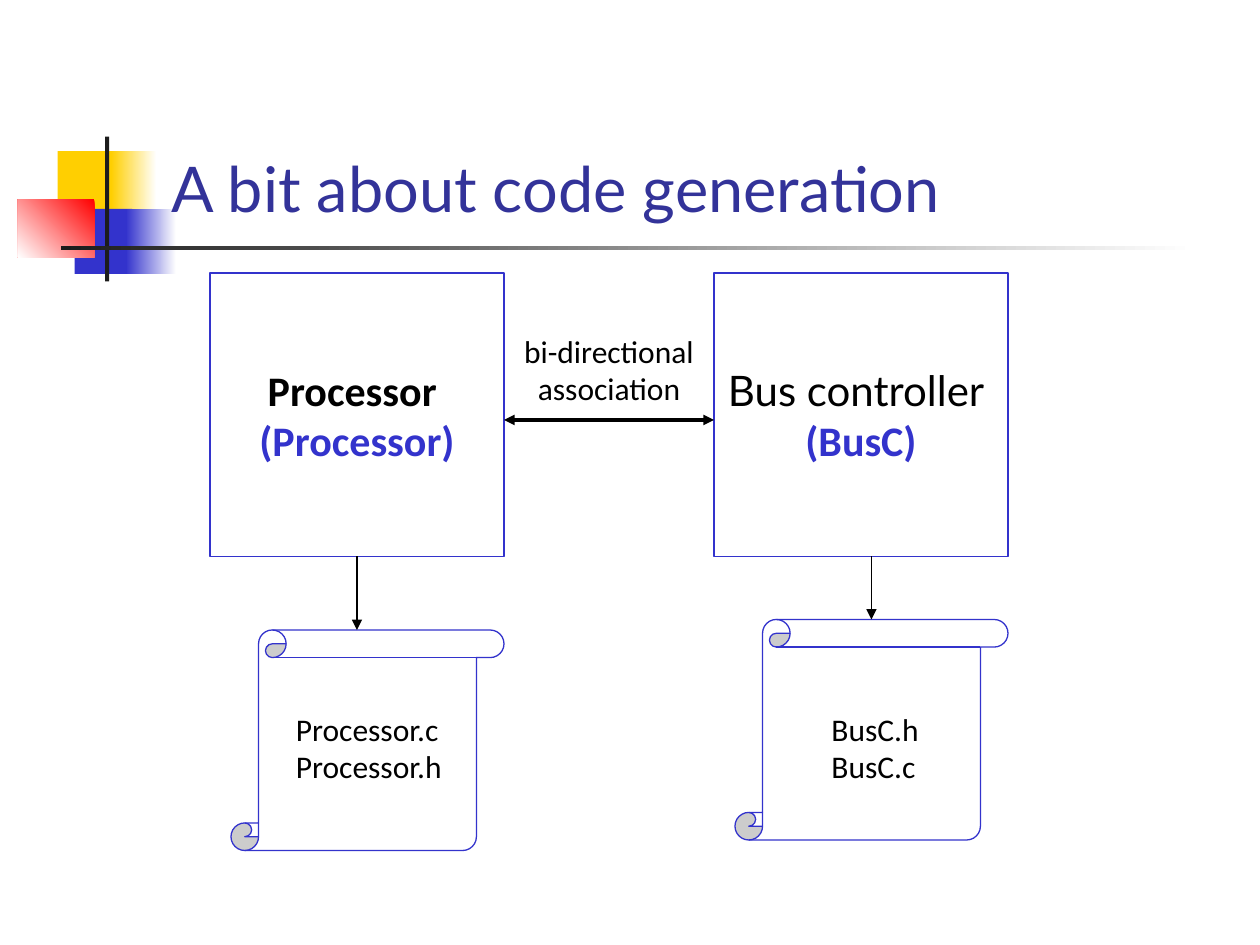
from pptx import Presentation
from pptx.dml.color import RGBColor
from pptx.enum.shapes import MSO_CONNECTOR as Connector, MSO_SHAPE as Shape
from pptx.enum.text import MSO_ANCHOR as Anchor, MSO_AUTO_SIZE as AutoSize, PP_ALIGN as Align
from pptx.oxml.ns import qn
from pptx.util import Pt
from lxml.etree import SubElement

PX = 7620
COLORS = {"white": "FFFFFF", "black": "000000", "blue": "3333CC", "title": "333399",
          "yellow": "FFCF01", "red": "FF0000", "dark": "1C1C1C"}


def rgb(name):
    """Return the named colour."""
    return RGBColor.from_string(COLORS[name])


def emu(*lengths):
    """Turn px lengths into EMU."""
    return [length * PX for length in lengths]


def add_box(page, kind, box, fill, line=None):
    """Add a filled shape without shadow, outlined if a line colour is given."""
    shape = page.shapes.add_shape(kind, *emu(*box))
    shape.shadow.inherit = False
    shape.fill.solid()
    shape.fill.fore_color.rgb = rgb(fill)
    if line:
        shape.line.color.rgb = rgb(line)
        shape.line.width = Pt(0.75)
    else:
        shape.line.fill.background()
    return shape


def add_fade(page, box, start, end, angle=180):
    """Add a rectangle that fades between two colours."""
    fill = add_box(page, Shape.RECTANGLE, box, start).fill
    fill.gradient()
    fill.gradient_angle = angle
    for stop, name, position in zip(fill.gradient_stops, (start, end), (0, 1)):
        stop.color.rgb = rgb(name)
        stop.position = position


def write_lines(frame, lines, align):
    """Write one paragraph for each (text, size, font, colour, bold) line."""
    for index, (text, size, face, color, bold) in enumerate(lines):
        para = frame.add_paragraph() if index else frame.paragraphs[0]
        para.text = text
        para.alignment = align
        para.font.size = Pt(size)
        para.font.name = face
        para.font.bold = bold
        para.font.color.rgb = rgb(color)


def add_label(page, box, texts, align=Align.LEFT, wrap=False):
    """Add a small text box."""
    frame = page.shapes.add_textbox(*emu(*box)).text_frame
    frame.word_wrap = wrap
    frame.auto_size = AutoSize.SHAPE_TO_FIT_TEXT
    write_lines(frame, [(text, 18, "Calibri", "black", False) for text in texts], align)


def add_arrow(page, start, end, width, ends=("tailEnd",)):
    """Add a straight black arrow with triangles at the given ends."""
    arrow = page.shapes.add_connector(Connector.STRAIGHT, *emu(*start, *end))
    arrow.line.color.rgb = rgb("black")
    arrow.line.width = Pt(width)
    line = arrow.line._get_or_add_ln()
    for tag in ends:
        SubElement(line, qn(f"a:{tag}"), type="triangle")
    SubElement(arrow.element.spPr, qn("a:effectLst"))
    return arrow


def add_emblem(page, left, top):
    """Draw the coloured squares and crossing bars beside the title."""
    add_box(page, Shape.RECTANGLE, (left + 38, top + 14, 58, 62), "yellow")
    add_fade(page, (left + 89, top + 14, 43, 62), "white", "yellow")
    add_box(page, Shape.RECTANGLE, (left + 54, top + 69, 55, 62), "blue")
    add_fade(page, (left + 103, top + 69, 48, 62), "white", "blue")
    add_fade(page, (left, top + 60, 73, 55), "red", "white", 225)
    add_box(page, Shape.RECTANGLE, (left + 83, top, 4, 138), "dark")
    add_fade(page, (left + 41, top + 104, 1080, 4), "white", "dark")


def add_title(page, box, text):
    """Place and format the title above the emblem."""
    title = page.shapes.title
    title.left, title.top, title.width, title.height = emu(*box)
    title.text_frame.vertical_anchor = Anchor.BOTTOM
    write_lines(title.text_frame, [(text, 36, "Lato", "title", False)], Align.LEFT)
    title.element.getparent().append(title.element)


def add_module(page, left, top, lines):
    """Draw a component box with its name and class."""
    module = add_box(page, Shape.RECTANGLE, (left, top, 280, 270), "white", "blue")
    frame = module.text_frame
    frame.word_wrap = False
    frame.vertical_anchor = Anchor.MIDDLE
    write_lines(frame, lines, Align.CENTER)
    return module


def add_files(page, left, top, label_box, names):
    """Draw a scroll with the names of the generated files."""
    add_box(page, Shape.VERTICAL_SCROLL, (left, top, 260, 210), "white", "blue")
    add_label(page, label_box, names)


def main():
    """Build and save the slide."""
    deck = Presentation()
    deck.slide_width, deck.slide_height = emu(1200, 900)
    page = deck.slides.add_slide(deck.slide_layouts[5])
    add_emblem(page, 17, 130)
    add_title(page, (151, 28, 1022, 192), "A bit about code generation")

    processor = add_module(page, 200, 260, [
        ("Processor ", 24, "Calibri", "black", True),
        ("(Processor)", 24, "Calibri", "blue", True)])
    add_module(page, 680, 260, [
        ("Bus controller ", 24, "Lato", "black", False),
        ("(BusC)", 24, "Calibri", "blue", True)])
    add_arrow(page, (480, 400), (680, 400), 2, ("headEnd", "tailEnd"))
    add_label(page, (470, 310, 220, 84), ("bi-directional", "association"), Align.CENTER, True)

    add_files(page, 220, 600, (270, 670, 167, 84), ("Processor.c", "Processor.h"))
    add_files(page, 700, 590, (780, 670, 107, 84), ("BusC.h", "BusC.c"))
    add_arrow(page, (340, 530), (340, 600), 0.75).begin_connect(processor, 2)
    add_arrow(page, (830, 530), (830, 590), 0.75)
    deck.save("out.pptx")


if __name__ == "__main__":
    main()
